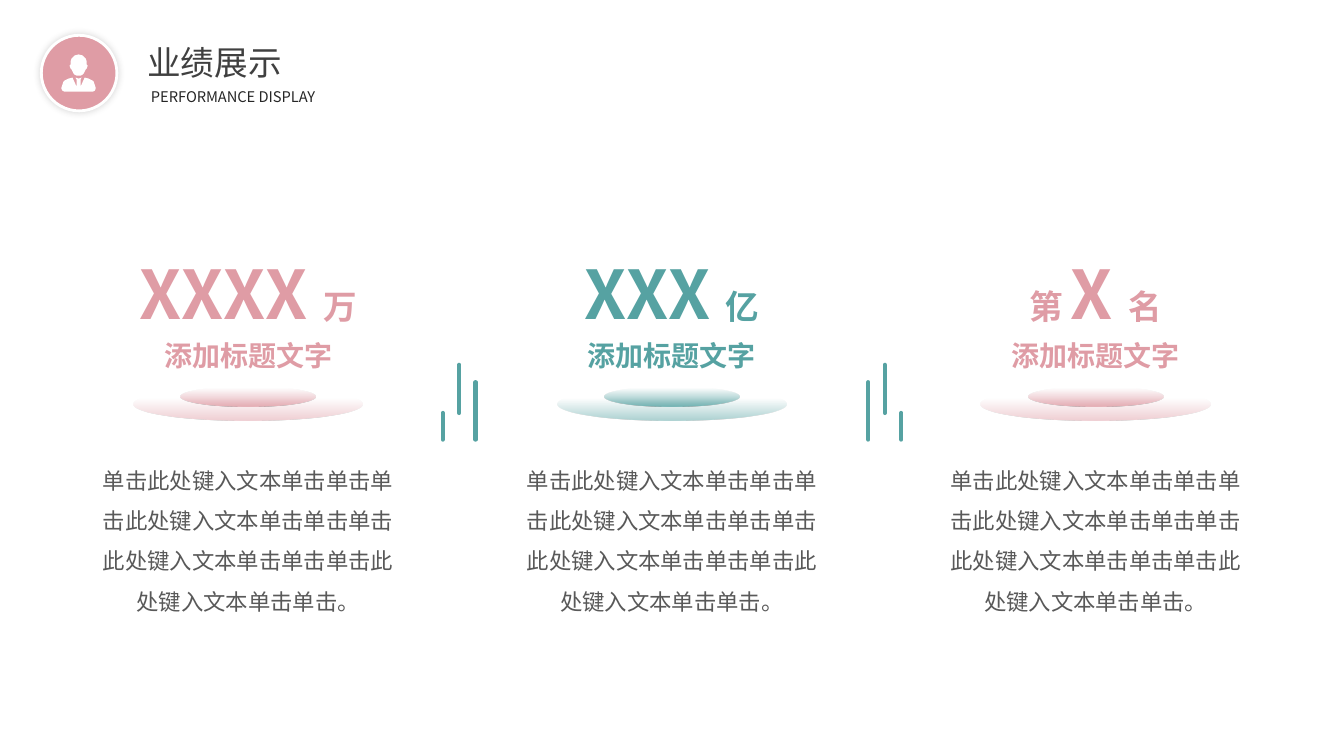
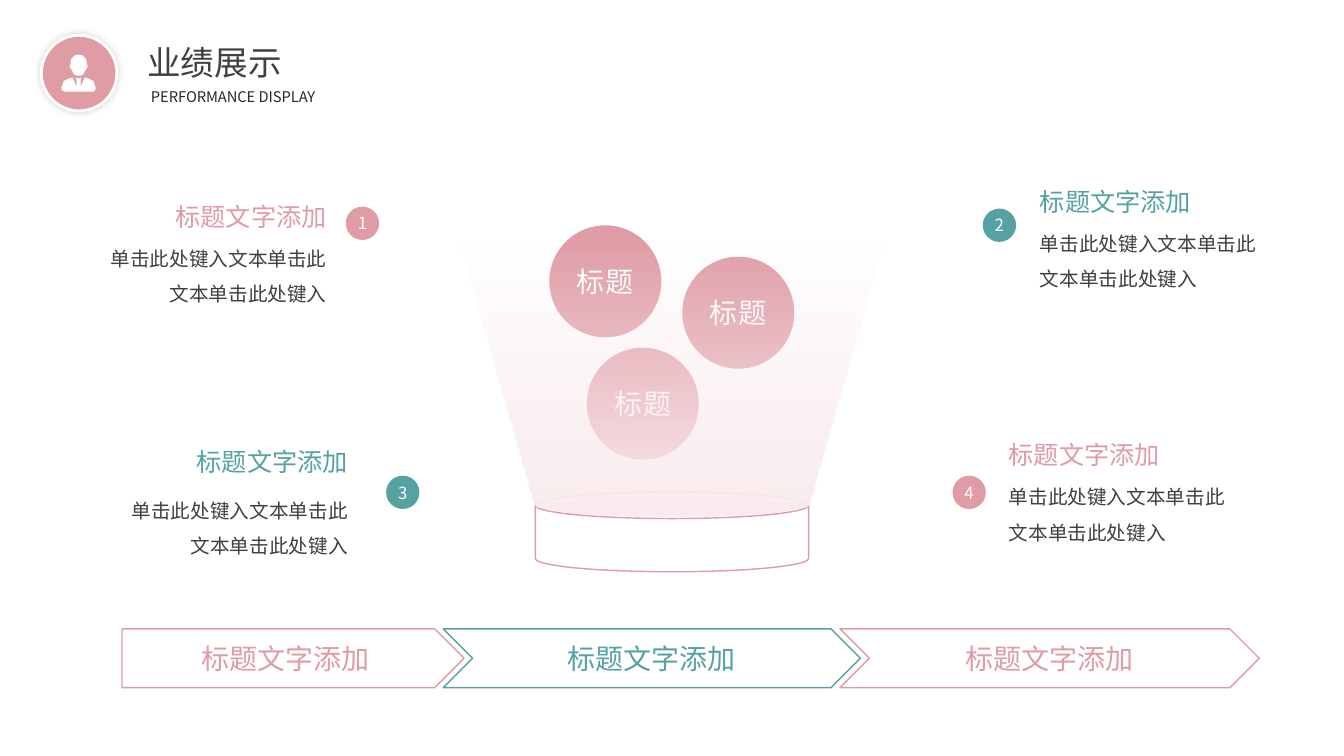
import math
from dataclasses import dataclass

from lxml import etree
from pptx import Presentation
from pptx.dml.color import RGBColor
from pptx.enum import shapes, text
from pptx.oxml.ns import qn
from pptx.util import Pt


@dataclass(frozen=True)
class Theme:
    font: str = "Noto Sans CJK SC"
    pink: str = "DF9CA5"
    teal: str = "56A2A2"
    blush: str = "F9EBED"
    white: str = "FFFFFF"
    dark: str = "404040"
    black: str = "262626"
    gray: str = "595959"
    figure: float = 48
    title: float = 24
    label: float = 20
    heading: float = 18
    body: float = 16
    small: float = 14
    number: float = 12
    caption: float = 10.5


theme = Theme()
Kind = shapes.MSO_SHAPE
Align = text.PP_ALIGN


def paint(shape, fill, line=None, width=1, fade=None):
    """Fill a shape; fade is (start %, end opacity %) for a downward fade-in."""
    shape.shadow.inherit = False
    if fade:
        start, opacity = fade
        shape.fill.gradient()
        shape.fill.gradient_angle = 270
        for stop, position in zip(shape.fill.gradient_stops, (start, 100)):
            stop.position = position / 100
            stop.color.rgb = RGBColor.from_string(fill)
        colors = shape._element.spPr.iter(qn("a:srgbClr"))
        for color, alpha in zip(list(colors), (0, opacity)):
            etree.SubElement(color, qn("a:alpha"), val=str(alpha * 1000))
    else:
        shape.fill.solid()
        shape.fill.fore_color.rgb = RGBColor.from_string(fill)
    if line:
        shape.line.color.rgb = RGBColor.from_string(line)
        shape.line.width = Pt(width)
    else:
        shape.line.fill.background()


def write(box, spans, size, color, align=Align.CENTER, bold=False, spacing=None, inset=True):
    """Write one paragraph; spans is a string or a list of (text, size)."""
    frame = box.text_frame
    frame.word_wrap = True
    frame.auto_size = text.MSO_AUTO_SIZE.NONE
    if not inset:
        frame.margin_left = frame.margin_right = frame.margin_top = frame.margin_bottom = 0
    para = frame.paragraphs[0]
    para.alignment = align
    if spacing:
        para.line_spacing = spacing
    para.font.name = theme.font
    para.font.size = Pt(size)
    para.font.bold = bold
    para.font.color.rgb = RGBColor.from_string(color)
    defaults = para._p.pPr.find(qn("a:defRPr"))
    etree.SubElement(defaults, qn("a:ea"), typeface=theme.font)
    if isinstance(spans, str):
        para.add_run().text = spans
        return para
    for words, span_size in spans:
        span = para.add_run()
        span.text = words
        span.font.size = Pt(span_size)
    return para


deck = Presentation()
deck.slide_width, deck.slide_height = Pt(960), Pt(540)
title_only = deck.slide_layouts[5]
results, funnel = [deck.slides.add_slide(title_only) for _ in range(2)]
center_x = 480

# Shared header: badge with a person, title and caption
# Right halves of the outlines, in hundredths of an inch
person_axis = 78
person_halves = [
    [(78, 54), (82, 55), (85, 58), (86, 61), (86, 64), (87, 65), (86, 68),
     (85, 69), (83, 73), (82, 74), (80, 75), (78, 75)],
    [(78, 78), (81, 77), (80, 79), (80, 86), (84, 77), (88, 78), (92, 80),
     (93, 81), (95, 87), (95, 88), (94, 90), (92, 91), (78, 91)],
]
for page in (results, funnel):
    badge = page.shapes.add_shape(Kind.OVAL, Pt(29.5), Pt(25.2), Pt(54), Pt(54))
    paint(badge, theme.pink, theme.white, 2)
    effects = badge._element.spPr.find(qn("a:effectLst"))
    shadow = etree.SubElement(effects, qn("a:outerShdw"), blurRad=str(Pt(5)), dist="0")
    shade = etree.SubElement(shadow, qn("a:srgbClr"), val=theme.dark)
    etree.SubElement(shade, qn("a:alpha"), val="20000")

    for half in person_halves:
        mirrored = [(2 * person_axis - x, y) for x, y in reversed(half)]
        builder = page.shapes.build_freeform(*half[0], scale=Pt(0.72))
        builder.add_line_segments(half[1:] + mirrored, close=True)
        paint(builder.convert_to_shape(), theme.white)

    title = page.shapes.title
    title.left, title.top, title.width, title.height = Pt(98), Pt(26), Pt(131), Pt(36)
    title.text_frame.vertical_anchor = text.MSO_ANCHOR.TOP
    write(title, "业绩展示", theme.title, theme.dark, Align.LEFT)
    caption = page.shapes.add_textbox(Pt(100.8), Pt(59), Pt(161), Pt(20))
    write(caption, "PERFORMANCE DISPLAY", theme.caption, theme.black, Align.LEFT)

# Results: bars between the columns, mirrored about the page centre
for side in (-1, 1):
    for offset, top, bottom in ((152, 260.6, 295), (140.3, 273, 314), (163.8, 295, 314)):
        x = Pt(center_x + side * offset)
        bar = results.shapes.add_connector(
            shapes.MSO_CONNECTOR.STRAIGHT, x, Pt(top), x, Pt(bottom))
        bar.line.color.rgb = RGBColor.from_string(theme.teal)
        bar.line.width = Pt(3)
        properties = bar._element.spPr
        properties.find(qn("a:ln")).set("cap", "rnd")
        etree.SubElement(properties, qn("a:effectLst"))

# Results: three columns, each a figure on a glowing base
column_step = 302.7
columns = [
    (theme.pink, [("XXXX ", theme.figure), ("万", theme.title)]),
    (theme.teal, [("XXX ", theme.figure), ("亿", theme.title)]),
    (theme.pink, [("第 ", theme.title), ("X ", theme.figure), ("名", theme.title)]),
]
column_body = "单击此处键入文本单击单击" + "单击此处键入文本单击单击" * 2 + "单击此处键入文本单击单击。"
for index, (color, figure) in enumerate(columns):
    middle = center_x + (index - 1) * column_step
    for top, width, height, fade in ((277.2, 164, 23, (33, 50)), (276.5, 96, 13.7, (8, 80))):
        base = results.shapes.add_shape(
            Kind.OVAL, Pt(middle - width / 2), Pt(top), Pt(width), Pt(height))
        paint(base, color, fade=fade)
    for top, width, height, spans, style in (
        (177, 185, 65.5, figure, dict(size=theme.figure, color=color, bold=True)),
        (238.3, 198.6, 31.7, "添加标题文字", dict(size=theme.label, color=color, bold=True)),
        (324, 220.4, 113, column_body,
         dict(size=theme.body, color=theme.gray, spacing=1.5, inset=False)),
    ):
        box = results.shapes.add_textbox(
            Pt(middle - width / 2), Pt(top), Pt(width), Pt(height))
        write(box, spans, **style)

# Funnel: arrow steps along the bottom
for kind, left, width, color in (
    (Kind.PENTAGON, 87.2, 244.3, theme.pink),
    (Kind.CHEVRON, 316.6, 298, theme.teal),
    (Kind.CHEVRON, 600, 299.5, theme.pink),
):
    step = funnel.shapes.add_shape(kind, Pt(left), Pt(449.2), Pt(width), Pt(42))
    paint(step, theme.white, color)
    write(step, "标题文字添加", theme.label, color)

# Funnel: balls above the dish
for left, top in ((392.4, 161), (487.4, 183.4), (419.2, 248.4)):
    ball = funnel.shapes.add_shape(Kind.OVAL, Pt(left), Pt(top), Pt(80), Pt(80))
    paint(ball, theme.pink)
    para = write(ball, "标题", theme.label, theme.white, inset=False)
    para._p.pPr.find(qn("a:defRPr")).set("spc", "100")

dish = funnel.shapes.add_shape(
    Kind.FLOWCHART_MAGNETIC_DISK, Pt(382.4), Pt(351.4), Pt(195.2), Pt(57))
paint(dish, theme.white, theme.pink)

# Funnel: light beam with a curved foot, laid over the balls
beam_top, beam_foot, beam_half = 137.5, 360, 161
foot_radius, foot_depth = 97.5, 8.8
foot = [
    (center_x + foot_radius * math.cos(math.radians(angle)),
     beam_foot + foot_depth * math.sin(math.radians(angle)))
    for angle in range(0, 181, 5)
]
builder = funnel.shapes.build_freeform(center_x - beam_half, beam_top, scale=Pt(1))
builder.add_line_segments([(center_x + beam_half, beam_top)] + foot, close=True)
paint(builder.convert_to_shape(), theme.blush, fade=(13, 100))

# Funnel: numbered notes on both sides
for number, color, align, (dot_x, dot_y), left, heading_top, note_top in (
    ("1", theme.pink, Align.RIGHT, (247, 147.6), 58.3, 140.4, 164.2),
    ("2", theme.teal, Align.LEFT, (702, 149), 735.8, 129.6, 153.4),
    ("3", theme.teal, Align.RIGHT, (275.8, 339.8), 73.4, 315.4, 344.2),
    ("4", theme.pink, Align.LEFT, (680.4, 339.8), 713.5, 310.3, 334.8),
):
    dot = funnel.shapes.add_shape(Kind.OVAL, Pt(dot_x), Pt(dot_y), Pt(23.8), Pt(23.8))
    paint(dot, color)
    write(dot, number, theme.number, theme.white, inset=False)
    heading = funnel.shapes.add_textbox(Pt(left), Pt(heading_top), Pt(182.2), Pt(29))
    write(heading, "标题文字添加", theme.heading, color, align)
    note = funnel.shapes.add_textbox(Pt(left), Pt(note_top), Pt(182.2), Pt(55.4))
    write(note, "单击此处键入文本单击此文本单击此处键入", theme.small, theme.dark, align,
          spacing=1.5)

deck.save("out.pptx")
